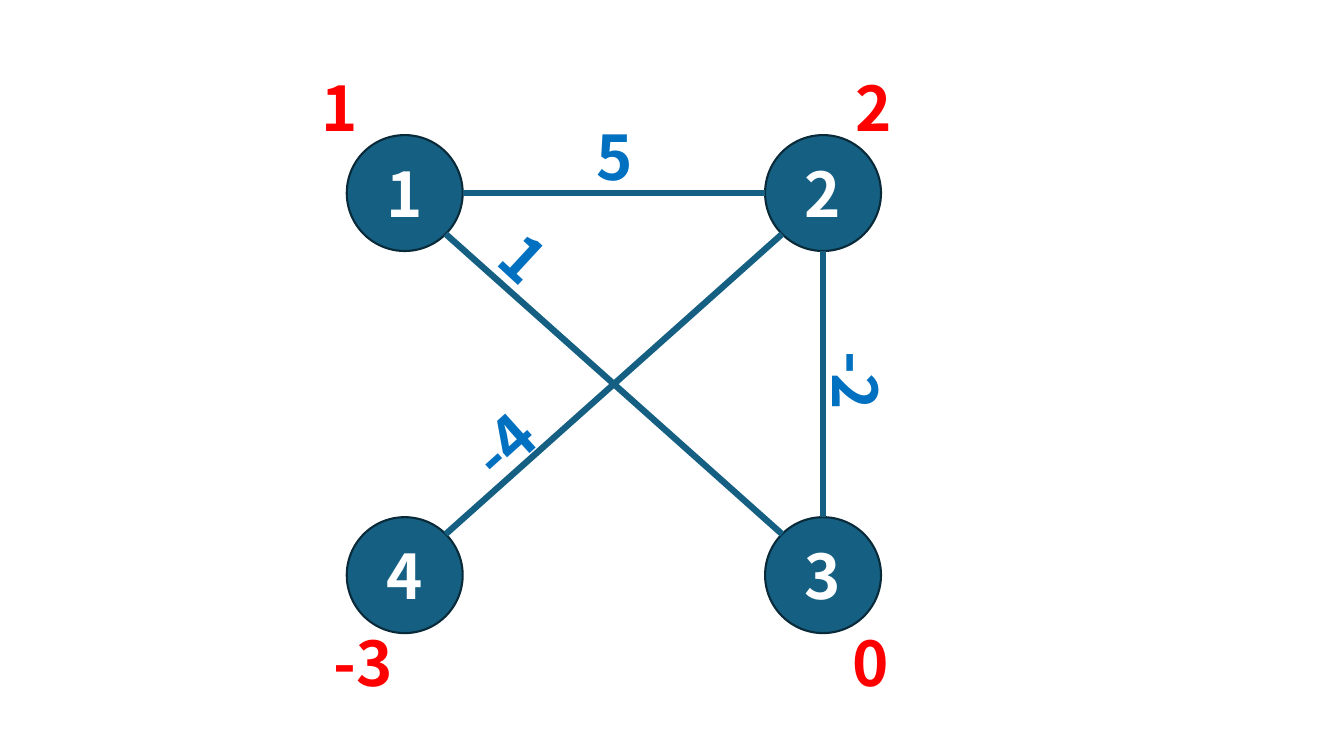
from collections import namedtuple
from dataclasses import dataclass
from math import copysign, hypot

from lxml.etree import SubElement
from pptx import Presentation
from pptx.dml.color import RGBColor
from pptx.enum.shapes import MSO_CONNECTOR, MSO_SHAPE
from pptx.enum.text import MSO_ANCHOR, MSO_AUTO_SIZE, PP_ALIGN
from pptx.oxml.ns import qn
from pptx.util import Pt


@dataclass(frozen=True)
class Theme:
    """Colours, font and sizes of the slide."""
    node: str = "156082"
    rim: str = "092A39"
    digit: str = "FFFFFF"
    weight: str = "0070C0"
    value: str = "FF0000"
    font: str = "Noto Sans CJK SC"
    size: float = 44
    edge: float = 4.5
    border: float = 1.5


THEME = Theme()
Box = namedtuple("Box", "left top width height")
GRAPH = Box(247.7, 96.5, 381.6, 355.7)
NODE = 82.8

NODES = {"1": (0, 0), "2": (1, 0), "3": (1, 1), "4": (0, 1)}
EDGES = ["12", "32", "31", "42"]
WEIGHTS = [
    ("5", 190.8, 15.1, 0),
    ("-2", 364, 177.8, 90),
    ("1", 126, 87.8, 42.8),
    ("-4", 113.4, 219.6, 318),
]
VALUES = [
    ("1", -5.8, -20.2, 0),
    ("2", 375.8, -20.2, 0),
    ("0", 373.7, 376.6, 0),
    ("-3", 14, 376.6, 0),
]


def write(frame, text, color, align=PP_ALIGN.LEFT):
    """Put bold text in a frame with the given colour and alignment."""
    line = frame.paragraphs[0]
    line.alignment = align
    run = line.add_run()
    run.text = text
    run.font.name = THEME.font
    run.font.size = Pt(THEME.size)
    run.font.bold = True
    run.font.color.rgb = RGBColor.from_string(color)


def center(box, name):
    """Return the centre of a node within the graph box."""
    col, row = NODES[name]
    return (box.left + NODE / 2 + col * (box.width - NODE),
            box.top + NODE / 2 + row * (box.height - NODE))


def add_node(slide, box, name):
    """Draw one numbered circle."""
    x, y = center(box, name)
    disc = slide.shapes.add_shape(
        MSO_SHAPE.OVAL, Pt(x - NODE / 2), Pt(y - NODE / 2), Pt(NODE), Pt(NODE))
    disc.shadow.inherit = False
    disc.fill.solid()
    disc.fill.fore_color.rgb = RGBColor.from_string(THEME.node)
    disc.line.color.rgb = RGBColor.from_string(THEME.rim)
    disc.line.width = Pt(THEME.border)
    disc.text_frame.vertical_anchor = MSO_ANCHOR.MIDDLE
    write(disc.text_frame, name, THEME.digit, align=PP_ALIGN.CENTER)


def step(gap):
    """Return the sign of a gap, or zero when there is none."""
    return copysign(1, gap) if gap else 0


def add_edge(slide, box, start, end):
    """Join two circles from rim to rim, at multiples of 45 degrees."""
    ax, ay = center(box, start)
    bx, by = center(box, end)
    dx, dy = step(bx - ax), step(by - ay)
    reach = NODE / 2 / hypot(dx, dy)
    edge = slide.shapes.add_connector(
        MSO_CONNECTOR.STRAIGHT,
        Pt(ax + dx * reach), Pt(ay + dy * reach),
        Pt(bx - dx * reach), Pt(by - dy * reach))
    edge.line.color.rgb = RGBColor.from_string(THEME.node)
    edge.line.width = Pt(THEME.edge)
    SubElement(edge.element.spPr, qn("a:effectLst"))


def add_label(slide, box, text, x, y, turn, color):
    """Centre a label on a point of the graph box."""
    width = 38.9 if len(text) == 1 else 61.2
    height = 60.5
    label = slide.shapes.add_textbox(
        Pt(box.left + x - width / 2), Pt(box.top + y - height / 2),
        Pt(width), Pt(height))
    label.rotation = turn
    label.text_frame.word_wrap = False
    label.text_frame.auto_size = MSO_AUTO_SIZE.SHAPE_TO_FIT_TEXT
    write(label.text_frame, text, color)


def add_graph(slide, box):
    """Draw the weighted graph with its node values."""
    for name in NODES:
        add_node(slide, box, name)
    for start, end in EDGES:
        add_edge(slide, box, start, end)
    for labels, color in ((WEIGHTS, THEME.weight), (VALUES, THEME.value)):
        for label in labels:
            add_label(slide, box, *label, color)


def main():
    """Build and save the slide."""
    deck = Presentation()
    deck.slide_width, deck.slide_height = Pt(960), Pt(540)
    slide = deck.slides.add_slide(deck.slide_layouts[6])
    add_graph(slide, GRAPH)
    deck.save("out.pptx")


if __name__ == "__main__":
    main()
